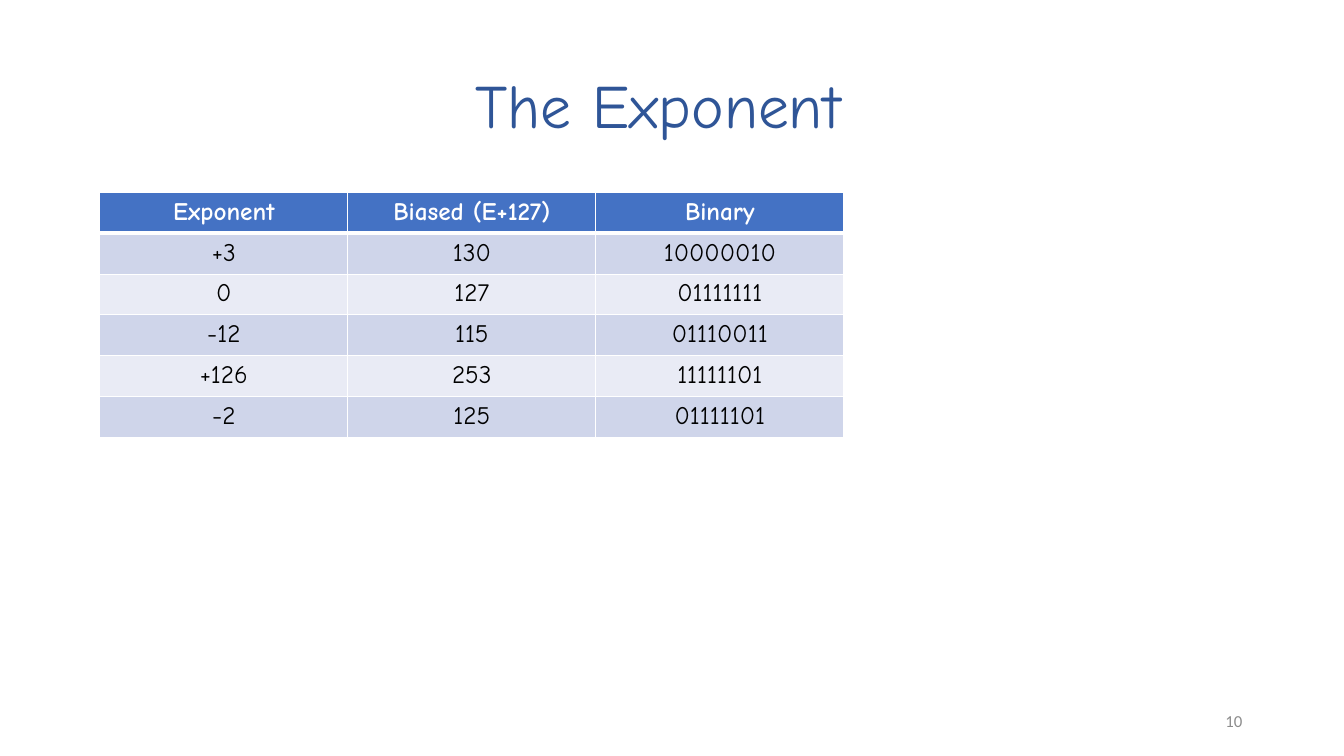
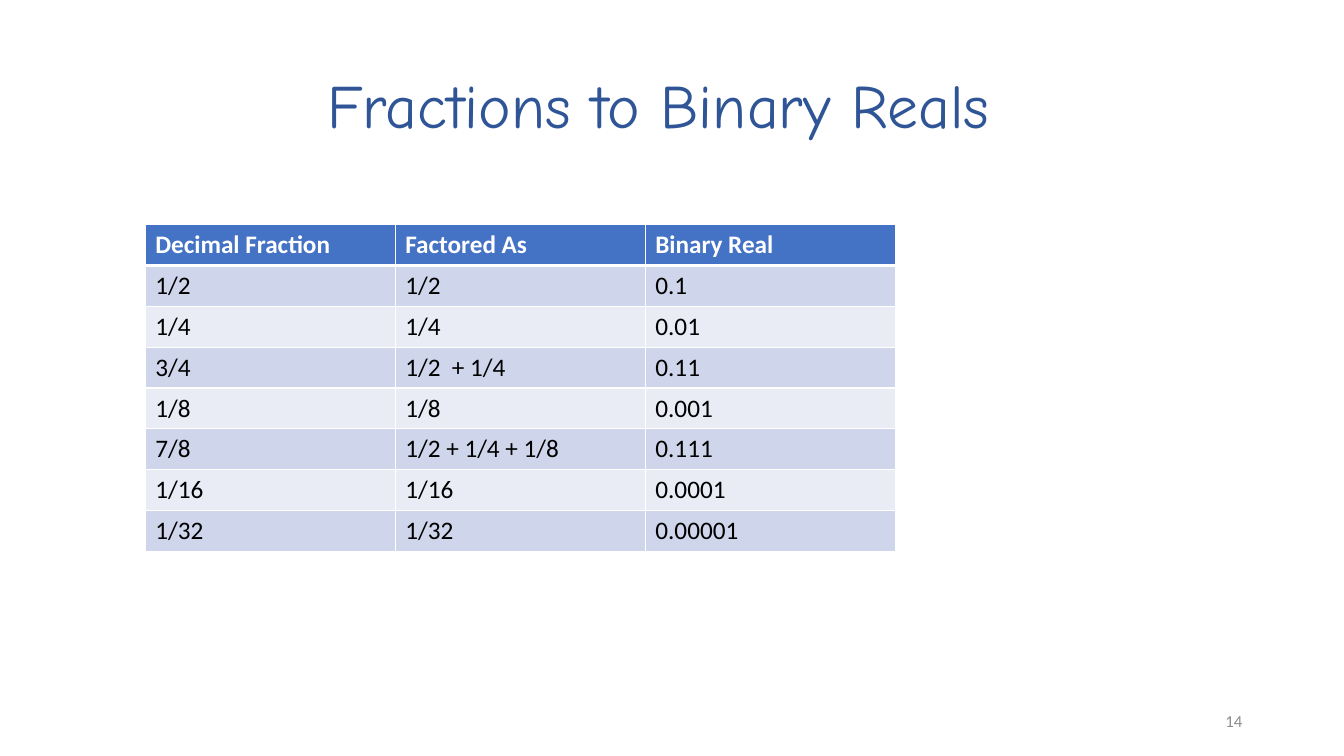
from dataclasses import dataclass

from lxml.etree import SubElement
from pptx import Presentation
from pptx.dml.color import RGBColor as RGB
from pptx.enum.text import MSO_ANCHOR as Anchor, PP_ALIGN as Align
from pptx.oxml.ns import qn
from pptx.util import Inches, Pt


@dataclass(frozen=True)
class Theme:
    title_color: RGB = RGB.from_string("2F5597")
    number_color: RGB = RGB.from_string("8C8C8C")
    header_fill: RGB = RGB.from_string("4472C4")
    odd_fill: RGB = RGB.from_string("CFD5EA")
    even_fill: RGB = RGB.from_string("E9EBF5")
    white: RGB = RGB.from_string("FFFFFF")
    black: RGB = RGB.from_string("000000")
    display_font: str = "Comic Neue"
    body_font: str = "Calibri"
    title_size: int = 44
    table_size: int = 18
    number_size: int = 12
    rule: int = 1
    header_rule: int = 3


THEME = Theme()

EXPONENTS = [
    ("Exponent", "Biased (E+127)", "Binary"),
    ("+3", "130", "10000010"),
    ("0", "127", "01111111"),
    ("-12", "115", "01110011"),
    ("+126", "253", "11111101"),
    ("-2", "125", "01111101"),
]

FRACTIONS = [
    ("Decimal Fraction", "Factored As", "Binary Real"),
    ("1/2", "1/2", "0.1"),
    ("1/4", "1/4", "0.01"),
    ("3/4", "1/2  + 1/4", "0.11"),
    ("1/8", "1/8", "0.001"),
    ("7/8", "1/2 + 1/4 + 1/8", "0.111"),
    ("1/16", "1/16", "0.0001"),
    ("1/32", "1/32", "0.00001"),
]


def style_paragraph(p, font, size, color, align, bold=False):
    p.alignment = align
    p.font.name = font
    p.font.size = Pt(size)
    p.font.bold = bold
    p.font.color.rgb = color


def add_text(slide, text, box, font, size, color, align):
    sp = slide.shapes.add_textbox(*map(Inches, box))
    tf = sp.text_frame
    tf.word_wrap = True
    tf.vertical_anchor = Anchor.MIDDLE
    p = tf.paragraphs[0]
    p.text = text
    style_paragraph(p, font, size, color, align)
    return p


def add_slide(prs, title, number):
    """Add a slide with the shared title and slide number."""
    s = prs.slides.add_slide(prs.slide_layouts[6])
    p = add_text(s, title, (2.14, 0.35, 8.78, 1.45), THEME.display_font,
                 THEME.title_size, THEME.title_color, Align.CENTER)
    p.line_spacing = 0.9
    add_text(s, str(number), (9.42, 6.95, 3, 0.4), THEME.body_font,
             THEME.number_size, THEME.number_color, Align.RIGHT)
    return s


def set_borders(cell, top, bottom):
    """Draw white borders; top and bottom are widths in points."""
    props = cell._tc.get_or_add_tcPr()
    widths = {"lnL": THEME.rule, "lnR": THEME.rule, "lnT": top, "lnB": bottom}
    for side, width in widths.items():
        line = SubElement(props, qn(f"a:{side}"), w=str(Pt(width)))
        fill = SubElement(line, qn("a:solidFill"))
        SubElement(fill, qn("a:srgbClr"), val=str(THEME.white))


def add_banded_table(slide, rows, box, font, align):
    frame = slide.shapes.add_table(len(rows), len(rows[0]), *map(Inches, box))
    for i, values in enumerate(rows):
        header = i == 0
        if header:
            fill = THEME.header_fill
        else:
            fill = THEME.odd_fill if i % 2 else THEME.even_fill
        # The thick rule lies between the header and the first row
        top = THEME.header_rule if i == 1 else THEME.rule
        bottom = THEME.header_rule if header else THEME.rule
        for j, value in enumerate(values):
            cell = frame.table.cell(i, j)
            set_borders(cell, top, bottom)
            cell.fill.solid()
            cell.fill.fore_color.rgb = fill
            p = cell.text_frame.paragraphs[0]
            p.text = value
            style_paragraph(p, font, THEME.table_size,
                            THEME.white if header else THEME.black,
                            align, bold=header)


def main():
    prs = Presentation()
    prs.slide_width, prs.slide_height = Inches(13.33), Inches(7.5)

    # Biased exponents
    s = add_slide(prs, "The Exponent", 10)
    add_banded_table(s, EXPONENTS, (0.99, 1.91, 7.38, 2.43),
                     THEME.display_font, Align.CENTER)

    # Fractions as binary reals
    s = add_slide(prs, "Fractions to Binary Reals", 14)
    add_banded_table(s, FRACTIONS, (1.44, 2.23, 7.44, 3.24),
                     THEME.body_font, Align.LEFT)

    prs.save("out.pptx")


if __name__ == "__main__":
    main()
